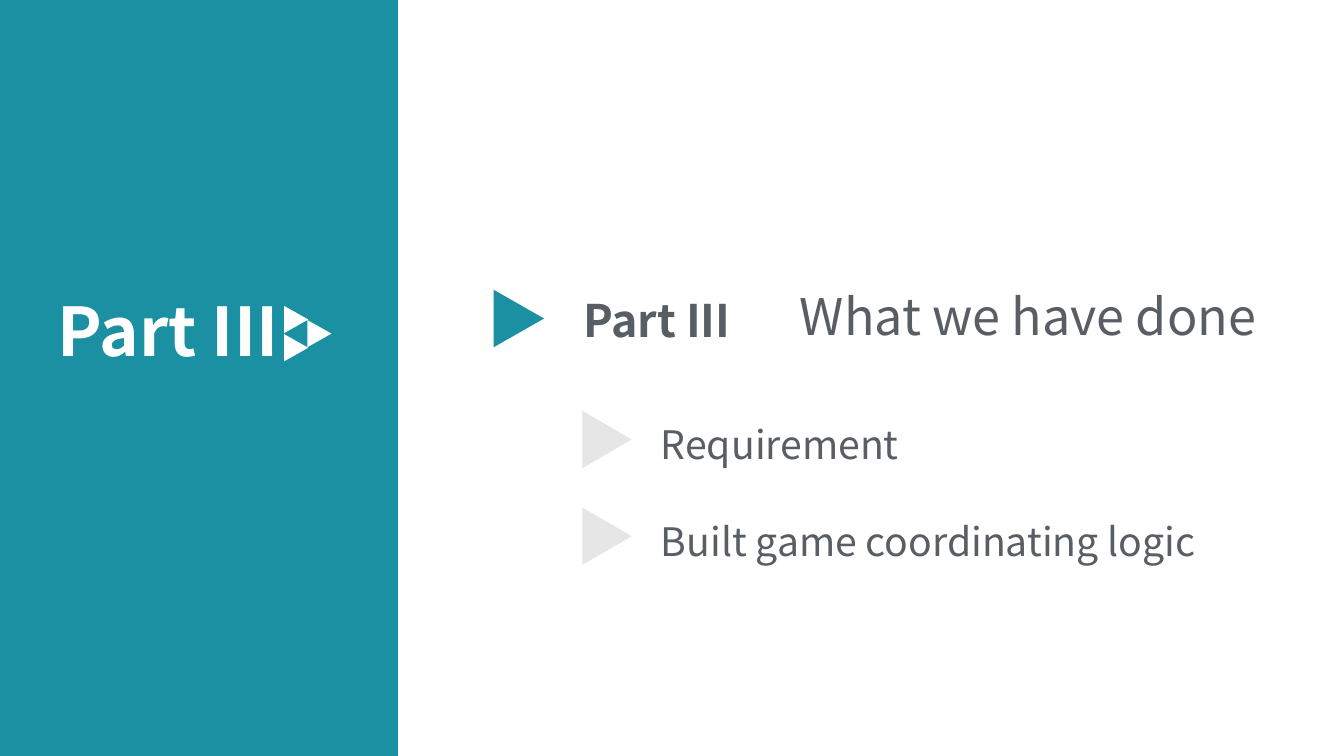
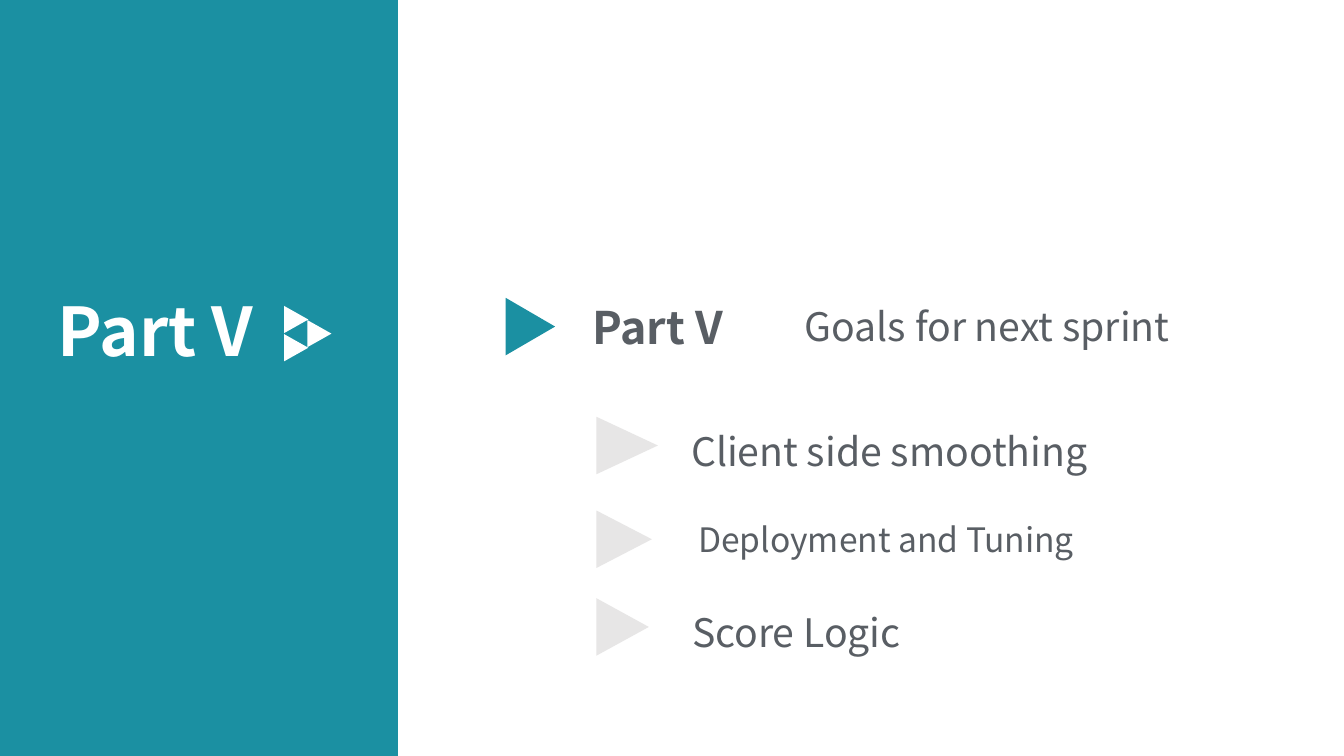
from lxml import etree
from pptx import Presentation
from pptx.dml.color import RGBColor
from pptx.enum.shapes import MSO_SHAPE
from pptx.enum.text import MSO_ANCHOR, MSO_AUTO_SIZE, PP_ALIGN
from pptx.oxml.ns import qn
from pptx.util import Inches, Pt

RECTANGLE, TRIANGLE = MSO_SHAPE.RECTANGLE, MSO_SHAPE.ISOSCELES_TRIANGLE
TOP, LEFT, NO_AUTOFIT = MSO_ANCHOR.TOP, PP_ALIGN.LEFT, MSO_AUTO_SIZE.NONE

FONT = "Noto Sans CJK SC"
TEAL, GREY, PALE, WHITE = "1B90A2", "595E64", "E7E6E6", "FFFFFF"
ARROW_HEIGHT = 0.57
BODY_WIDTH = 6.3

# Emblem arrows: left, middle
EMBLEM = [(2.82, 3.17), (2.82, 3.45), (3.05, 3.31)]

# arrow: left, middle, length
# label and topic: left, top, width, height (the topic also has a size)
# items: text, size, left and bottom of the line, middle and length of its arrow
SECTIONS = [
    {
        "part": "Part III", "arrow": (4.9, 3.16, 0.5),
        "label": (5.69, 2.85, 2.16, 0.64),
        "topic": ("What we have done", 36, (7.84, 2.78, 5.48, 0.7)),
        "marker_left": 5.78,
        "items": [
            ("Requirement", 28, 6.56, 4.64, 4.36, 0.49),
            ("Built game coordinating logic", 28, 6.56, 5.6, 5.32, 0.49),
        ],
    },
    {
        "part": "Part V", "arrow": (5.02, 3.24, 0.49),
        "label": (5.78, 2.92, 2.11, 0.64),
        "topic": ("Goals for next sprint", 28, (7.89, 2.95, 4, 0.57)),
        "marker_left": 5.92,
        "items": [
            ("Client side smoothing", 28, 6.86, 4.71, 4.42, 0.61),
            ("Deployment and Tuning", 24, 6.93, 5.55, 5.35, 0.55),
            ("Score Logic", 28, 6.87, 6.5, 6.22, 0.52),
        ],
    },
]


def rgb(color):
    return RGBColor.from_string(color)


def place(shape, left, top, width, height):
    shape.left, shape.top = Inches(left), Inches(top)
    shape.width, shape.height = Inches(width), Inches(height)


def style(paragraph, size, color=GREY, bold=False):
    paragraph.alignment = LEFT
    font = paragraph.font
    font.name, font.size, font.bold = FONT, Pt(size), bold
    font.color.rgb = rgb(color)


def add_filled(slide, preset, color, left, top, width, height):
    shape = slide.shapes.add_shape(preset, Inches(left), Inches(top),
                                   Inches(width), Inches(height))
    shape.fill.solid()
    shape.fill.fore_color.rgb = rgb(color)
    shape.line.fill.background()
    shape.shadow.inherit = False
    return shape


def add_arrow(slide, color, left, middle, length, height=ARROW_HEIGHT):
    """Triangle pointing right; it is placed as it looks after its turn."""
    arrow = add_filled(slide, TRIANGLE, color, left + (length - height) / 2,
                       middle - length / 2, height, length)
    arrow.rotation = 90
    return arrow


def add_text(slide, text, box, size, bold=False):
    frame = slide.shapes.add_textbox(*map(Inches, box)).text_frame
    frame.word_wrap = True
    frame.text = text
    style(frame.paragraphs[0], size, bold=bold)


def prepare_layout(layout, slide):
    """Set the title place and move the panel and emblem to the layout."""
    place(layout.placeholders[0], 0.47, 2.82, 2.46, 0.9)
    shared = [add_filled(slide, RECTANGLE, TEAL, 0, 0, 3.95, 7.5)]
    shared += [add_arrow(slide, WHITE, left, middle, 0.24, 0.27)
               for left, middle in EMBLEM]
    for shape in shared:
        layout.shapes.element.append(shape.element)


def fill_items(body, items):
    """Each line is as tall as its distance from the line above."""
    first_left, first_bottom = items[0][2:4]
    line_bottom = first_bottom - ARROW_HEIGHT
    place(body, first_left, line_bottom, BODY_WIDTH,
          items[-1][3] - line_bottom)
    frame = body.text_frame
    frame.auto_size, frame.vertical_anchor = NO_AUTOFIT, TOP
    frame.margin_left = frame.margin_right = 0
    frame.margin_top = frame.margin_bottom = 0
    frame.text = "\n".join(item[0] for item in items)
    for paragraph, (_, size, left, bottom, _, _) in zip(frame.paragraphs, items):
        properties = paragraph._p.get_or_add_pPr()
        properties.set("marL", str(Inches(left - first_left)))
        properties.set("indent", "0")
        etree.SubElement(properties, qn("a:buNone"))
        paragraph.space_before = Pt(0)
        paragraph.line_spacing = Pt(round((bottom - line_bottom) * 72, 1))
        style(paragraph, size)
        line_bottom = bottom


def fill_section(slide, section):
    title = slide.shapes.title.text_frame
    title.text = section["part"]
    title.auto_size, title.vertical_anchor = NO_AUTOFIT, TOP
    title.word_wrap = False
    style(title.paragraphs[0], 48, WHITE, bold=True)

    add_arrow(slide, TEAL, *section["arrow"])
    add_text(slide, section["part"], section["label"], 32, bold=True)
    topic, size, box = section["topic"]
    add_text(slide, topic, box, size)

    fill_items(slide.placeholders[1], section["items"])
    for *_, middle, length in section["items"]:
        add_arrow(slide, PALE, section["marker_left"], middle, length)


def main():
    deck = Presentation()
    deck.slide_width, deck.slide_height = Inches(13.34), Inches(7.5)
    layout = deck.slide_layouts[1]
    slides = [deck.slides.add_slide(layout) for _ in SECTIONS]
    prepare_layout(layout, slides[0])
    for slide, section in zip(slides, SECTIONS):
        fill_section(slide, section)
    deck.save("out.pptx")


if __name__ == "__main__":
    main()
